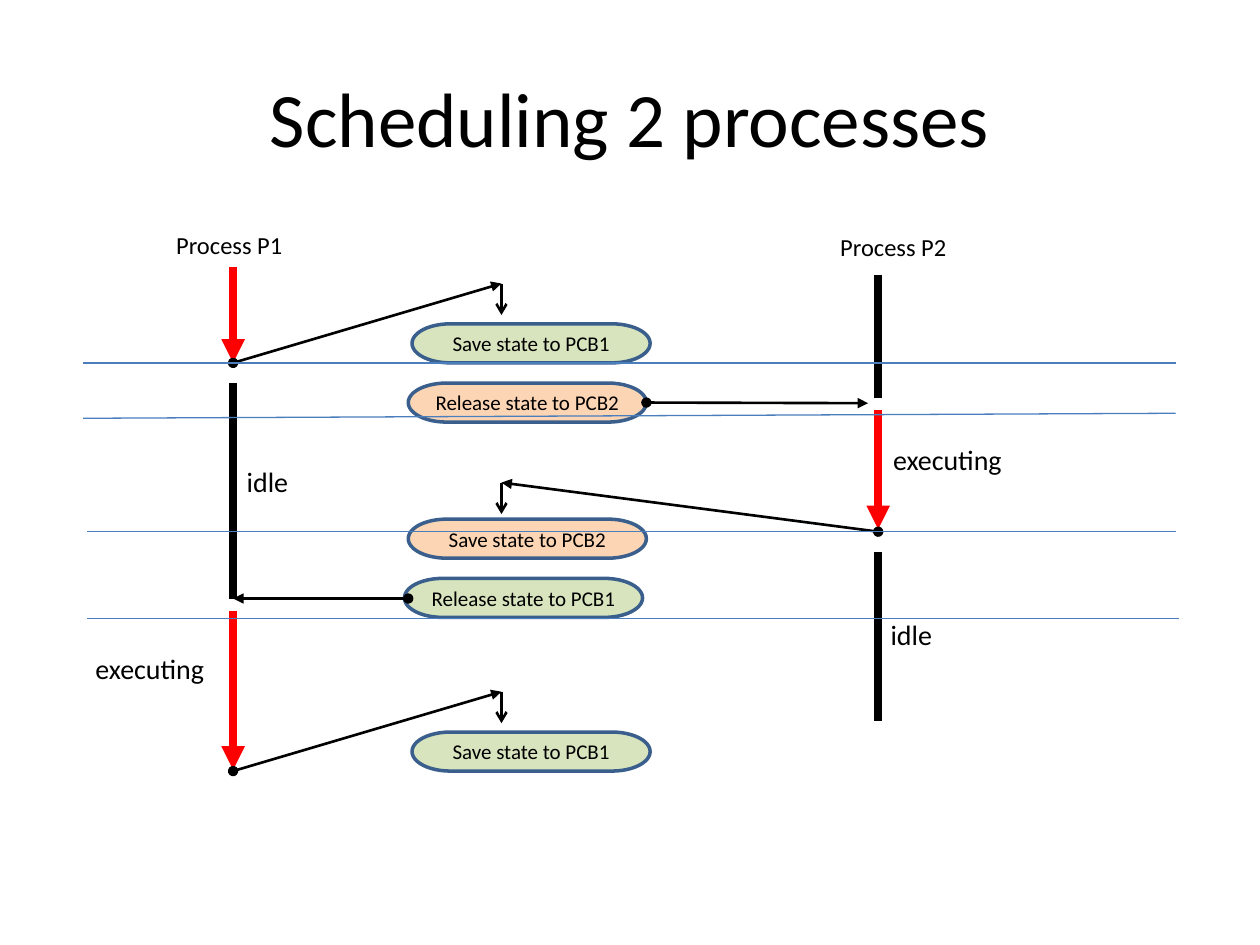
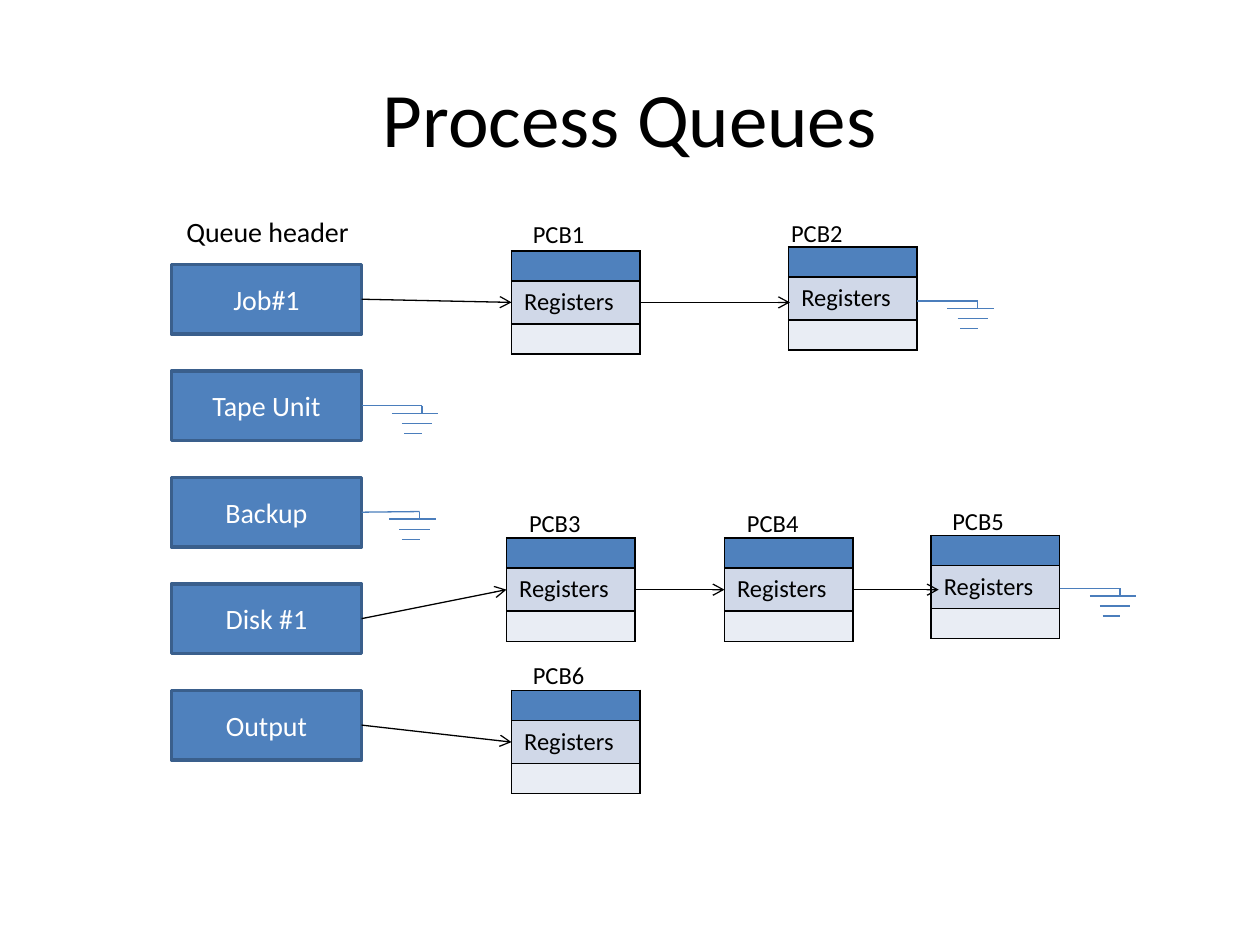
from lxml import etree
from pptx import Presentation
from pptx import util as u
from pptx.dml.color import RGBColor
from pptx.enum import shapes, text
from pptx.oxml.ns import qn

FONT = "Calibri"
BLACK, WHITE, RED = "000000", "FFFFFF", "FF0000"
BLUE, EDGE, THIN = "4F81BD", "3A5F8C", "4B7EBC"
GREEN, PEACH = "D7E4BD", "FCD5B5"
BANDS = [BLUE, "D0D8E8", "E9EDF4"]
COLS, ROWS = 10, 7.5
RIGHT = 3


def hue(code):
    return RGBColor.from_string(code)


class Deck:
    def __init__(self):
        self.show = Presentation()
        self.show.slide_width = u.Inches(10)
        self.show.slide_height = u.Inches(7.5)
        self.slide = None

    def grid(self, x, y):
        return (round(self.show.slide_width * x / COLS),
                round(self.show.slide_height * y / ROWS))

    def page(self, title):
        self.slide = self.show.slides.add_slide(self.show.slide_layouts[6])
        box = self.label(title, 0.5, 0.3, 9, 1.25, 44, wrap=True, grow=False)
        box.text_frame.vertical_anchor = text.MSO_ANCHOR.MIDDLE
        box.text_frame.paragraphs[0].alignment = text.PP_ALIGN.CENTER

    def letter(self, frame, words, size, color=BLACK):
        para = frame.paragraphs[0]
        para.text = words
        para.font.name = FONT
        para.font.size = u.Pt(size)
        para.font.color.rgb = hue(color)
        return para

    def label(self, words, x, y, wide, high, size, wrap=False, grow=True):
        box = self.slide.shapes.add_textbox(*self.grid(x, y), *self.grid(wide, high))
        frame = box.text_frame
        frame.word_wrap = wrap
        if grow:
            frame.auto_size = text.MSO_AUTO_SIZE.SHAPE_TO_FIT_TEXT
        self.letter(frame, words, size)
        return box

    def block(self, kind, words, x, y, wide, high, fill, size, color=BLACK):
        box = self.slide.shapes.add_shape(kind, *self.grid(x, y), *self.grid(wide, high))
        box.shadow.inherit = False
        box.fill.solid()
        box.fill.fore_color.rgb = hue(fill)
        box.line.color.rgb = hue(EDGE)
        box.line.width = u.Pt(2)
        box.text_frame.vertical_anchor = text.MSO_ANCHOR.MIDDLE
        para = self.letter(box.text_frame, words, size, color)
        para.alignment = text.PP_ALIGN.CENTER
        return box

    def line(self, start, end, color=BLACK, width=1.5, head=None, tail=None, link=None):
        wire = self.slide.shapes.add_connector(
            shapes.MSO_CONNECTOR.STRAIGHT, *self.grid(*start), *self.grid(*end))
        if link:
            wire.begin_connect(link, RIGHT)
        wire.line.color.rgb = hue(color)
        wire.line.width = u.Pt(width)
        props = wire._element.spPr
        stroke = props.find(qn("a:ln"))
        for tag, kind in (("a:headEnd", head), ("a:tailEnd", tail)):
            if kind:
                etree.SubElement(stroke, qn(tag), type=kind)
        etree.SubElement(props, qn("a:effectLst"))

    def edge(self, cell):
        props = cell._tc.get_or_add_tcPr()
        for spot, side in enumerate(("a:lnL", "a:lnR", "a:lnT", "a:lnB")):
            rim = etree.Element(qn(side), w=str(u.Pt(1)))
            fill = etree.SubElement(rim, qn("a:solidFill"))
            etree.SubElement(fill, qn("a:srgbClr"), val=BLACK)
            props.insert(spot, rim)

    def table(self, x, y, words):
        table = self.slide.shapes.add_table(
            3, 1, *self.grid(x, y), *self.grid(1.02, 0.82)).table
        table.first_row = table.horz_banding = False
        for row, fill in enumerate(BANDS):
            table.rows[row].height = self.grid(0, 0.34 if row == 1 else 0.24)[1]
            cell = table.cell(row, 0)
            cell.fill.solid()
            cell.fill.fore_color.rgb = hue(fill)
            self.edge(cell)
            if row == 1:
                self.letter(cell.text_frame, words, 14)
            else:
                para = cell.text_frame.paragraphs[0]._p
                etree.SubElement(para, qn("a:endParaRPr"), sz="800")

    def pill(self, words, x, y, fill):
        kind = shapes.MSO_SHAPE.FLOWCHART_TERMINATOR
        return self.block(kind, words, x, y, 1.89, 0.31, fill, 12)

    def bar(self, x, top, end, live):
        self.line((x, top), (x, end), RED if live else BLACK, 4.5,
                  tail="triangle" if live else None)

    def turn(self, start, top):
        bend = (3.98, top)
        self.line(start, bend, head="oval", tail="triangle")
        self.line(bend, (3.98, top + 0.25), tail="arrow")

    def ground(self, x, y, link=None):
        end = x + 0.48
        self.line((x, y), (end, y), THIN, 0.75, link=link)
        self.line((end, y), (end, y + 0.06), THIN, 0.75)
        for left, drop, wide in ((0.24, 0.06, 0.37), (0.32, 0.14, 0.24), (0.34, 0.22, 0.14)):
            self.line((x + left, y + drop), (x + left + wide, y + drop), THIN, 0.75)


def timing(deck):
    deck.page("Scheduling 2 processes")
    one, two = 1.85, 6.97
    deck.label("Process P1", 1.3, 1.78, 1.1, 0.34, 14, wrap=True)
    deck.label("Process P2", 6.57, 1.79, 1.1, 0.34, 14, wrap=True)
    for x, top, end, live in (
            (one, 2.12, 2.88, True), (one, 3.04, 4.75, False), (one, 4.85, 6.11, True),
            (two, 2.18, 3.16, False), (two, 3.25, 4.2, True), (two, 4.38, 5.72, False)):
        deck.bar(x, top, end, live)
    deck.pill("Save state to PCB1", 3.27, 2.57, GREEN)
    free = deck.pill("Release state to PCB2", 3.24, 3.04, PEACH)
    deck.pill("Save state to PCB2", 3.24, 4.12, PEACH)
    deck.pill("Release state to PCB1", 3.21, 4.59, GREEN)
    deck.pill("Save state to PCB1", 3.27, 5.81, GREEN)
    for start, top in (((one, 2.88), 2.25), ((two, 4.22), 3.83), ((one, 6.12), 5.49)):
        deck.turn(start, top)
    deck.line((5.13, 3.2), (6.89, 3.2), head="oval", tail="triangle", link=free)
    deck.line((3.24, 4.75), (one, 4.75), head="oval", tail="triangle")
    for x, y in ((0.66, 5.12), (6.99, 3.46)):
        deck.label("executing", x, y, 1.07, 0.37, 16)
    for x, y in ((1.86, 3.64), (6.97, 4.85)):
        deck.label("idle", x, y, 0.53, 0.37, 16)
    for left, top, right, end in ((0.66, 2.88, 9.33, 2.88), (0.66, 3.32, 9.33, 3.28),
                                  (0.69, 4.22, 9.33, 4.22), (0.69, 4.91, 9.36, 4.91)):
        deck.line((left, top), (right, end), THIN, 0.75)


def queues(deck):
    deck.page("Process Queues")
    deck.label("Queue header", 1.38, 1.65, 1.51, 0.37, 16)
    names = ["Job#1", "Tape Unit", "Backup", "Disk #1", "Output"]
    step = (5.48 - 2.1) / (len(names) - 1)
    job, tape, back, disk, out = [
        deck.block(shapes.MSO_SHAPE.FLOWCHART_PROCESS, name, 1.36, 2.1 + row * step,
                   1.51, 0.55, BLUE, 16, WHITE)
        for row, name in enumerate(names)]
    for name, x, y, left, top in (
            ("PCB1", 4.06, 1.99, 4.13, 1.69), ("PCB2", 6.26, 1.96, 6.18, 1.68),
            ("PCB3", 4.02, 4.27, 4.1, 3.98), ("PCB4", 5.75, 4.27, 5.83, 3.98),
            ("PCB5", 7.39, 4.25, 7.46, 3.97), ("PCB6", 4.06, 5.48, 4.13, 5.19)):
        deck.table(x, y, "Registers")
        deck.label(name, left, top, 0.62, 0.34, 14)
    for start, end, link in (
            ((2.87, 2.37), (4.06, 2.4), job), ((5.08, 2.4), (6.27, 2.4), None),
            ((2.87, 4.91), (4.02, 4.68), disk), ((5.05, 4.68), (5.75, 4.68), None),
            ((6.77, 4.68), (7.45, 4.68), None), ((2.87, 5.76), (4.06, 5.89), out)):
        deck.line(start, end, width=0.75, tail="arrow", link=link)
    for x, y, link in ((2.87, 3.22, tape), (2.85, 4.06, back),
                       (7.28, 2.39, None), (8.41, 4.67, None)):
        deck.ground(x, y, link)


def main():
    deck = Deck()
    timing(deck)
    queues(deck)
    deck.show.save("out.pptx")


if __name__ == "__main__":
    main()
